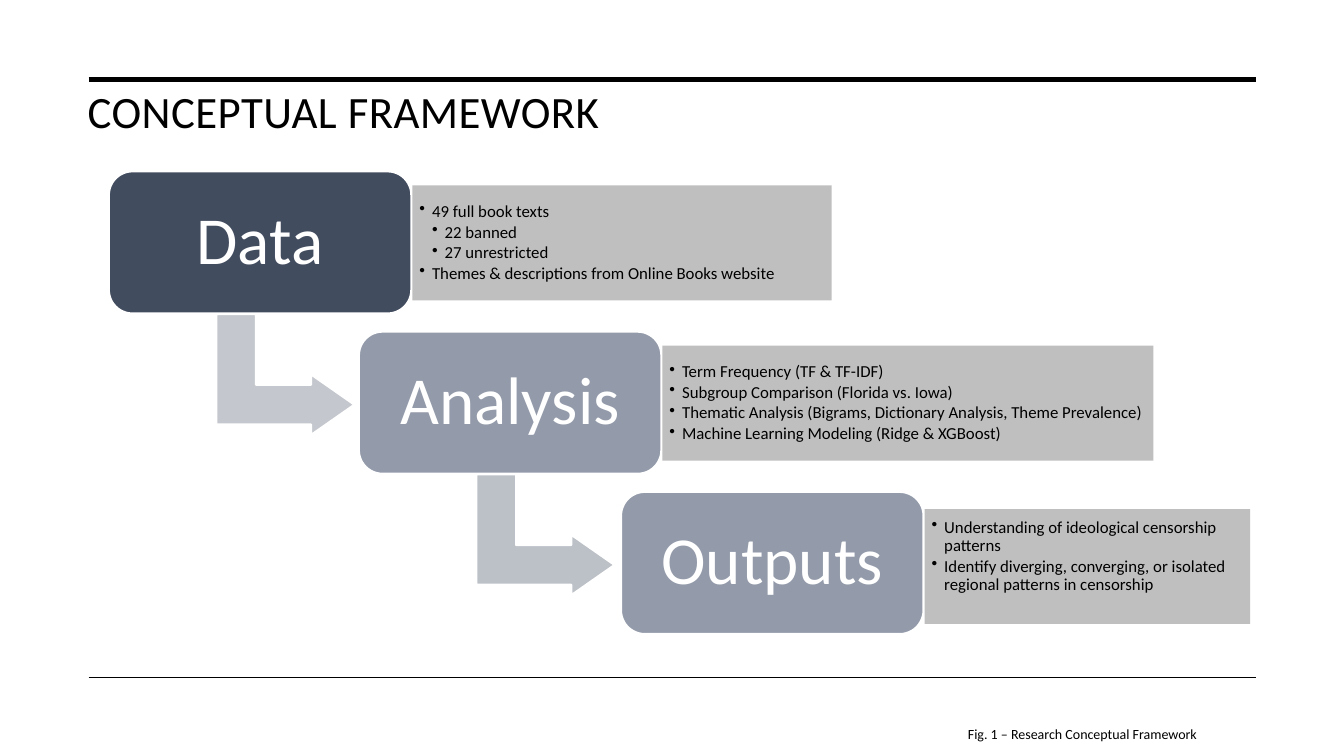
from pptx import Presentation
from pptx.dml.color import RGBColor
from pptx.enum.shapes import MSO_CONNECTOR, MSO_SHAPE
from pptx.enum.text import MSO_ANCHOR, MSO_AUTO_SIZE, PP_ALIGN
from pptx.oxml.ns import qn
from pptx.util import Inches, Pt
from lxml import etree

LINE = MSO_CONNECTOR.STRAIGHT
ROUND, RECT, BENT = MSO_SHAPE.ROUNDED_RECTANGLE, MSO_SHAPE.RECTANGLE, MSO_SHAPE.BENT_UP_ARROW
TOP, MIDDLE = MSO_ANCHOR.TOP, MSO_ANCHOR.MIDDLE
LEFT, CENTER = PP_ALIGN.LEFT, PP_ALIGN.CENTER

THEME = {
    "font": "Calibri",
    "black": RGBColor.from_string("000000"),
    "white": RGBColor.from_string("FFFFFF"),
    "panel": RGBColor.from_string("BFBFBF"),
    "title": Pt(32), "step": Pt(48), "list": Pt(12), "note": Pt(10),
}

# Each step: name, left, fill, panel top, panel width, bottom inset, arrow (left, fill), items
STEPS = [
    ("Data", 1.08, "424C5F", 1.84, 4.16, 0.07, (2.23, "C4C7CD"), [
        (1, "49 full book texts"),
        (2, "22 banned"),
        (2, "27 unrestricted"),
        (1, "Themes & descriptions from Online Books website")]),
    ("Analysis", 3.56, "939AA9", 3.43, 4.87, 0.07, (4.81, "BCC0C7"), [
        (1, "Term Frequency (TF & TF-IDF)"),
        (1, "Subgroup Comparison (Florida vs. Iowa)"),
        (1, "Thematic Analysis (Bigrams, Dictionary Analysis, Theme Prevalence)"),
        (1, "Machine Learning Modeling (Ridge & XGBoost)")]),
    ("Outputs", 6.16, "939AA9", 5.05, 3.23, 0.27, None, [
        (1, "Understanding of ideological censorship patterns"),
        (1, "Identify diverging, converging, or isolated regional patterns in censorship")]),
]


def style(para, size, color, align):
    para.alignment = align
    para.font.name = THEME["font"]
    para.font.size = THEME[size]
    para.font.color.rgb = THEME[color]


def block(kind, left, top, width, height, fill, edge=True):
    shape = slide.shapes.add_shape(
        kind, Inches(left), Inches(top), Inches(width), Inches(height))
    shape.shadow.inherit = False
    shape.fill.solid()
    shape.fill.fore_color.rgb = fill
    if edge:
        shape.line.color.rgb = THEME["white"]
        shape.line.width = Pt(1.5)
    else:
        shape.line.fill.background()
    return shape


deck = Presentation()
deck.slide_width, deck.slide_height = Inches(13.33), Inches(7.5)
slide = deck.slides.add_slide(deck.slide_layouts[5])

# Rules above and below
for y, weight in ((0.79, 3.5), (6.72, 1)):
    rule = slide.shapes.add_connector(LINE, Inches(0.88), Inches(y), Inches(12.46), Inches(y))
    rule.line.color.rgb = THEME["black"]
    rule.line.width = Pt(weight)
    etree.SubElement(rule._element.spPr, qn("a:effectLst"))

# Title
title = slide.shapes.title
title.left, title.top = Inches(0.77), Inches(0.78)
title.width, title.height = Inches(11.69), Inches(1.43)
title.text_frame.text = "CONCEPTUAL FRAMEWORK"
title.text_frame.vertical_anchor = TOP
head = title.text_frame.paragraphs[0]
style(head, "title", "black", LEFT)
head.runs[0]._r.get_or_add_rPr().set("spc", "30")

# Steps with their arrows and lists
for i, (name, left, fill, top, width, inset, arrow, items) in enumerate(STEPS):
    y = 1.7 + 1.59 * i
    if arrow:
        x, tint = arrow
        bend = block(BENT, x, y + 1.33, 1.2, 1.37, RGBColor.from_string(tint))
        bend.rotation = 90
        for k, value in enumerate((0.328, 0.25, 0.358)):
            bend.adjustments[k] = value

    step = block(ROUND, left, y, 3, 1.41, RGBColor.from_string(fill))
    step.text_frame.text = name
    step.text_frame.vertical_anchor = MIDDLE
    label = step.text_frame.paragraphs[0]
    label.line_spacing = 0.9
    style(label, "step", "white", CENTER)

    panel = block(RECT, left + 3.01, top, width, 1.14, THEME["panel"], edge=False)
    frame = panel.text_frame
    frame.word_wrap = True
    frame.vertical_anchor = MIDDLE
    frame.margin_left = frame.margin_right = frame.margin_top = Inches(0.07)
    frame.margin_bottom = Inches(inset)
    for k, (level, text) in enumerate(items):
        para = frame.add_paragraph() if k else frame.paragraphs[0]
        para.text = text
        para.level = level - 1
        para.line_spacing = 0.9
        para.space_after = Pt(1.8)
        props = para._p.get_or_add_pPr()
        props.set("marL", str(Inches(0.125 * level)))
        props.set("indent", str(-Inches(0.125)))
        etree.SubElement(props, qn("a:buChar"), char="•")
        style(para, "list", "black", LEFT)

# Caption
note = slide.shapes.add_textbox(Inches(8.4), Inches(7.15), Inches(4.67), Inches(0.27))
note.text_frame.word_wrap = True
note.text_frame.auto_size = MSO_AUTO_SIZE.SHAPE_TO_FIT_TEXT
note.text_frame.text = "Fig. 1 – Research Conceptual Framework"
style(note.text_frame.paragraphs[0], "note", "black", CENTER)

deck.save("out.pptx")
